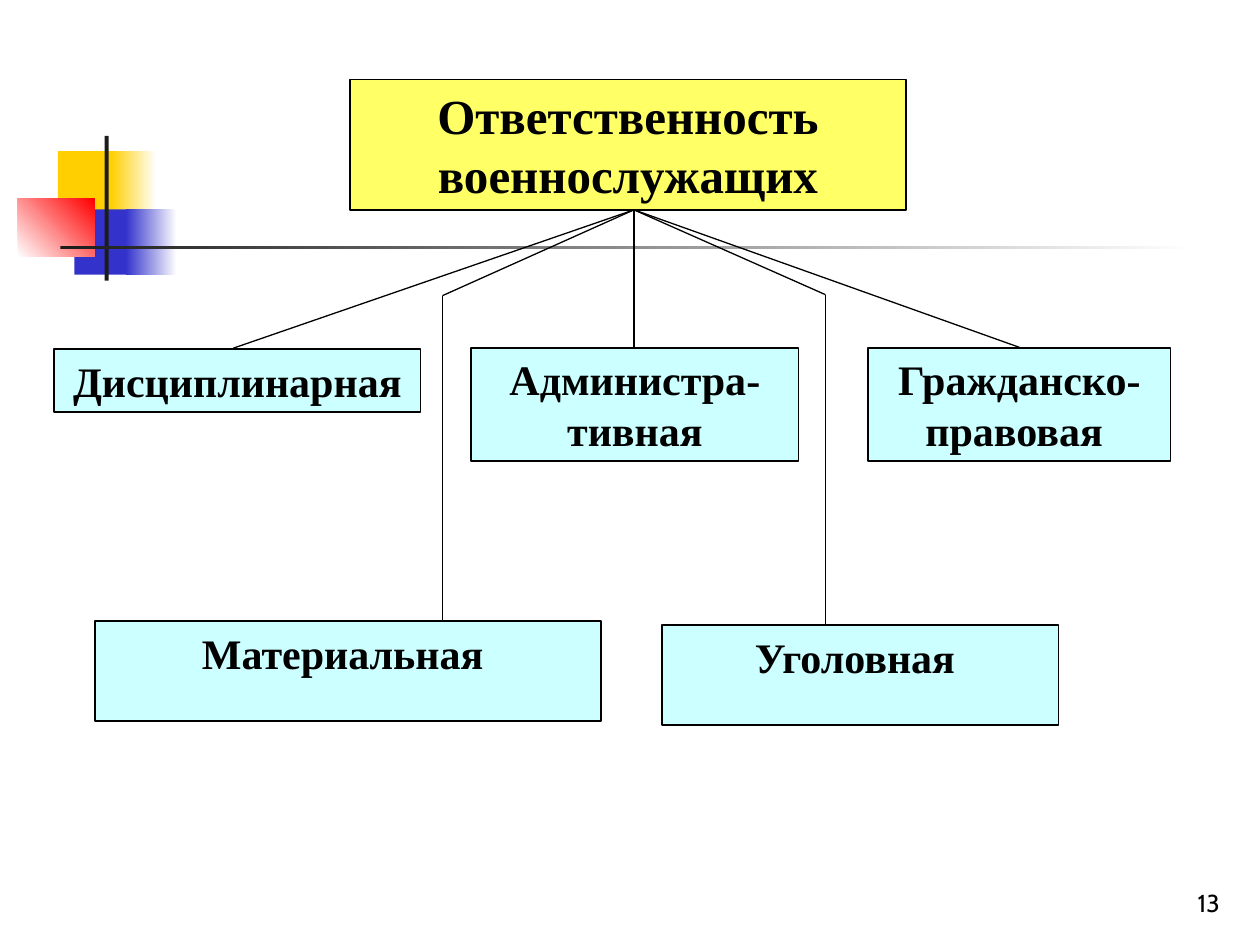
from pptx import Presentation
from pptx.dml.color import RGBColor
from pptx.enum.shapes import MSO_CONNECTOR, MSO_SHAPE
from pptx.enum.text import MSO_ANCHOR, MSO_AUTO_SIZE, PP_ALIGN
from pptx.oxml.ns import qn
from pptx.util import Cm, Pt
from lxml.etree import SubElement


def rgb(code):
    return RGBColor.from_string(code)


def write(sp, text, size, font="Times New Roman", bold=True,
          align=PP_ALIGN.CENTER, anchor=MSO_ANCHOR.TOP):
    tf = sp.text_frame
    tf.word_wrap = True
    tf.auto_size = MSO_AUTO_SIZE.NONE
    tf.vertical_anchor = anchor
    p = tf.paragraphs[0]
    p.alignment = align
    r = p.add_run()
    r.text = text
    r.font.name = font
    r.font.size = Pt(size)
    r.font.bold = bold
    r.font.color.rgb = rgb("000000")


prs = Presentation()
prs.slide_width, prs.slide_height = Cm(25.4), Cm(19.05)
s = prs.slides.add_slide(prs.slide_layouts[5])

# Corner ornament: one colour is solid, two make a gradient
ornament = [
    (1.17, 3.05, 1.22, 1.32, ["FFCF01"], 0),
    (2.24, 3.05, 0.91, 1.32, ["FFCF01", "FFFFFF"], 0),
    (1.5, 4.22, 1.17, 1.32, ["3333CC"], 0),
    (2.54, 4.22, 1.02, 1.32, ["3333CC", "FFFFFF"], 0),
    (0.36, 4.01, 1.55, 1.17, ["FFFFFF", "FF0000"], 45),
    (2.11, 2.74, 0.08, 2.92, ["1C1C1C"], 0),
    (1.22, 4.95, 22.86, 0.08, ["1C1C1C", "FFFFFF"], 0),
]
for x, y, w, h, colors, angle in ornament:
    sp = s.shapes.add_shape(MSO_SHAPE.RECTANGLE, Cm(x), Cm(y), Cm(w), Cm(h))
    sp.shadow.inherit = False
    sp.line.fill.background()
    if len(colors) == 1:
        sp.fill.solid()
        sp.fill.fore_color.rgb = rgb(colors[0])
    else:
        sp.fill.gradient()
        sp.fill.gradient_angle = angle
        for stop, color in zip(sp.fill.gradient_stops, colors):
            stop.color.rgb = rgb(color)

# Heading
title = s.shapes.title
title.left, title.top, title.width, title.height = Cm(7.06), Cm(1.6), Cm(11.2), Cm(2.64)
title.fill.solid()
title.fill.fore_color.rgb = rgb("FFFF66")
title.line.color.rgb = rgb("000000")
title.line.width = Pt(1)
write(title, "Ответственность военнослужащих", 28)

# Kinds of liability
kinds = [
    ("Дисциплинарная", 1.09, 7.04, 7.39, 1.27),
    ("Администра-тивная", 9.5, 7.01, 6.6, 2.29),
    ("Гражданско-правовая ", 17.5, 7.01, 6.1, 2.29),
    ("Материальная ", 1.91, 12.52, 10.21, 2.01),
    ("Уголовная ", 13.34, 12.6, 8, 2.01),
]
for text, x, y, w, h in kinds:
    sp = s.shapes.add_shape(MSO_SHAPE.RECTANGLE, Cm(x), Cm(y), Cm(w), Cm(h))
    sp.shadow.inherit = False
    sp.fill.solid()
    sp.fill.fore_color.rgb = rgb("CCFFFF")
    sp.line.color.rgb = rgb("000000")
    sp.line.width = Pt(1)
    write(sp, text, 24)

# Branches from the heading to each kind
root = (12.78, 4.23)
branches = [
    [root, (4.7, 7.02)],
    [root, (12.78, 7.02)],
    [root, (20.6, 7.02)],
    [root, (8.92, 5.96), (8.92, 12.52)],
    [root, (16.64, 5.94), (16.64, 12.6)],
]
for points in branches:
    for (x1, y1), (x2, y2) in zip(points, points[1:]):
        line = s.shapes.add_connector(MSO_CONNECTOR.STRAIGHT, Cm(x1), Cm(y1), Cm(x2), Cm(y2))
        line.line.color.rgb = rgb("000000")
        line.line.width = Pt(0.75)
        SubElement(line._element.spPr, qn("a:effectLst"))

# Page number
number = s.shapes.add_textbox(Cm(19.56), Cm(17.35), Cm(5.28), Cm(1.27))
write(number, "13", 14, "Cabin", False, PP_ALIGN.RIGHT, MSO_ANCHOR.BOTTOM)

prs.save("out.pptx")
